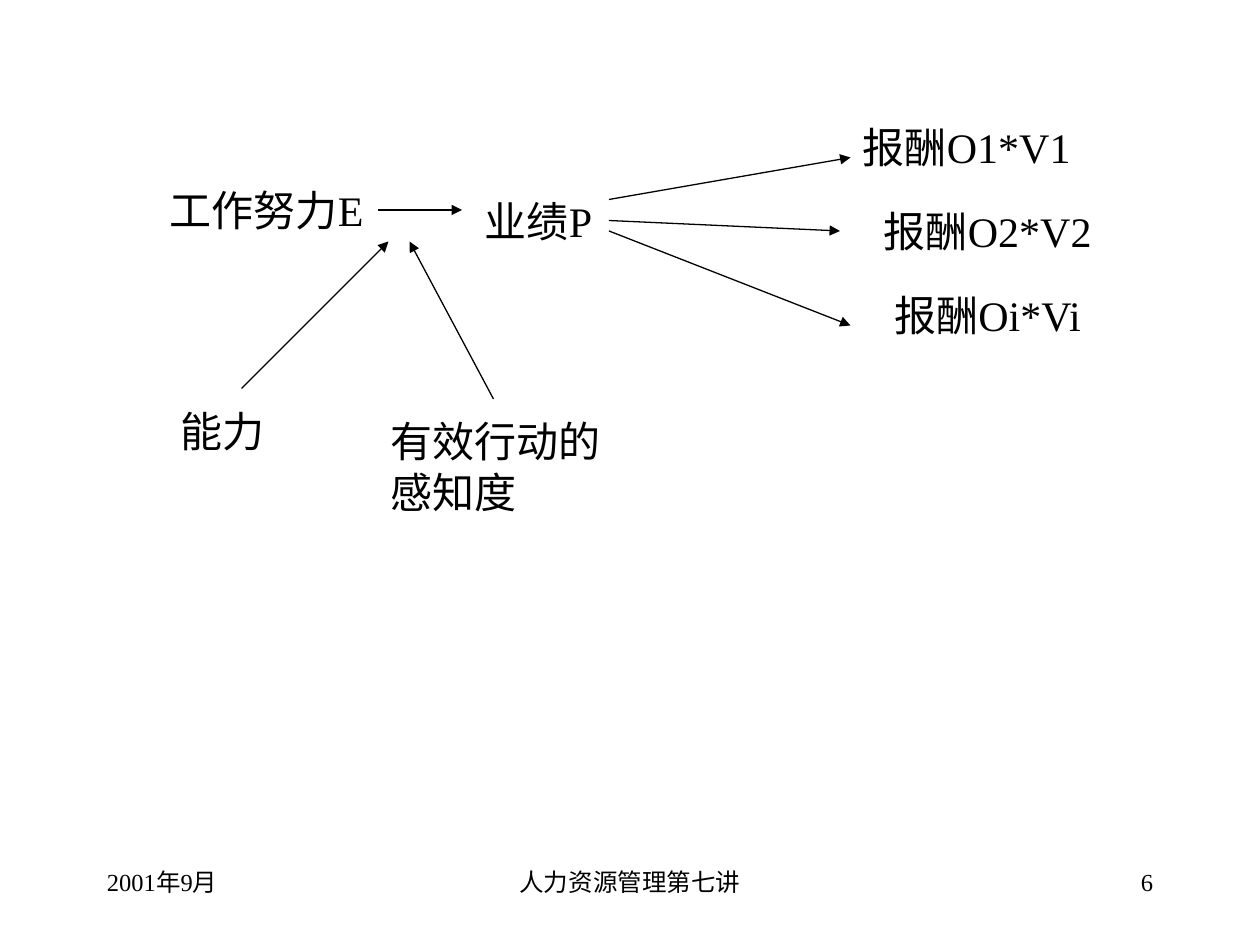
from dataclasses import dataclass

from lxml import etree
from pptx import Presentation
from pptx.dml.color import RGBColor
from pptx.enum.shapes import MSO_CONNECTOR
from pptx.enum.text import MSO_ANCHOR, PP_ALIGN
from pptx.oxml.ns import qn
from pptx.util import Emu, Pt

STRAIGHT = MSO_CONNECTOR.STRAIGHT
TOP = MSO_ANCHOR.TOP
LEFT, CENTER, RIGHT = PP_ALIGN.LEFT, PP_ALIGN.CENTER, PP_ALIGN.RIGHT
EMU_PER_PX = 9525


def px(length):
    return Emu(length * EMU_PER_PX)


@dataclass(frozen=True)
class Theme:
    font: str = "Times New Roman"
    ink: RGBColor = RGBColor(0, 0, 0)
    label_size: int = 24
    footer_size: int = 14
    line_width: float = 0.75


class Diagram:
    def __init__(self, slide, theme):
        self.slide = slide
        self.theme = theme

    def text(self, wording, left, top, width, height, size, align=LEFT):
        box = self.slide.shapes.add_textbox(px(left), px(top), px(width), px(height))
        frame = box.text_frame
        frame.word_wrap = True
        frame.vertical_anchor = TOP
        para = frame.paragraphs[0]
        para.text = wording
        para.alignment = align
        para.font.name = self.theme.font
        para.font.size = Pt(size)
        para.font.color.rgb = self.theme.ink

    def label(self, wording, left, top, width, height):
        self.text(wording, left, top, width, height, self.theme.label_size)

    def footer(self, wording, left, width, align):
        self.text(wording, left, 656, width, 48, self.theme.footer_size, align)

    def arrow(self, start, end):
        arrow = self.slide.shapes.add_connector(
            STRAIGHT, *(px(value) for value in (*start, *end))
        )
        arrow.line.color.rgb = self.theme.ink
        arrow.line.width = Pt(self.theme.line_width)
        properties = arrow._element.spPr
        outline = properties.find(qn("a:ln"))
        etree.SubElement(outline, qn("a:tailEnd"), type="triangle")
        etree.SubElement(properties, qn("a:effectLst"))


LABELS = [
    ("工作努力E", 120, 136, 192, 48),
    ("业绩P", 360, 144, 104, 86),
    ("报酬O1*V1", 648, 88, 208, 48),
    ("报酬O2*V2", 664, 152, 192, 48),
    ("报酬Oi*Vi", 672, 216, 200, 48),
    ("能力", 128, 304, 88, 48),
    ("有效行动的感知度", 288, 312, 192, 86),
]

ARROWS = [
    ((288, 160), (352, 160)),
    ((464, 152), (648, 120)),
    ((464, 168), (640, 176)),
    ((464, 176), (648, 248)),
    ((184, 296), (296, 184)),
    ((376, 304), (312, 184)),
]

FOOTERS = [
    ("2001年9月", 72, 200, LEFT),
    ("人力资源管理第七讲", 328, 304, CENTER),
    ("6", 688, 200, RIGHT),
]


def main():
    deck = Presentation()
    deck.slide_width, deck.slide_height = px(960), px(720)
    page = deck.slides.add_slide(deck.slide_layouts[6])
    diagram = Diagram(page, Theme())
    for label in LABELS:
        diagram.label(*label)
    for start, end in ARROWS:
        diagram.arrow(start, end)
    for footer in FOOTERS:
        diagram.footer(*footer)
    deck.save("out.pptx")


if __name__ == "__main__":
    main()
